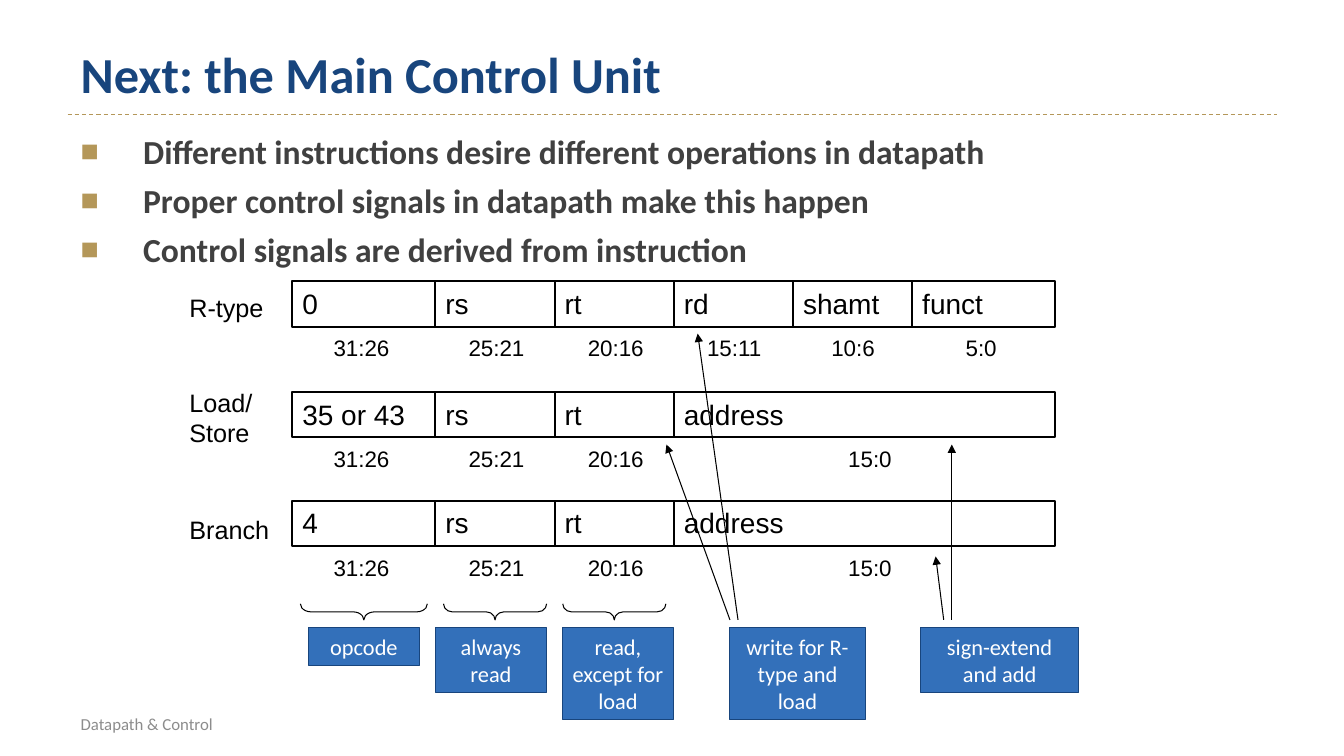
from dataclasses import dataclass
from itertools import accumulate

from lxml import etree
from pptx import Presentation
from pptx import util as u
from pptx.dml.color import RGBColor
from pptx.enum import dml, shapes, text
from pptx.oxml import ns


@dataclass(frozen=True)
class Theme:
    navy: str = "18457D"
    blue: str = "3370BA"
    gold: str = "B49759"
    dark: str = "404040"
    gray: str = "8C8C8C"
    black: str = "000000"
    white: str = "FFFFFF"
    sans: str = "Arial"
    main: str = "Calibri"
    title: int = 36
    body: int = 24
    field: int = 20
    label: int = 18
    small: int = 16
    foot: int = 12
    thin: float = 0.75
    thick: float = 1.5


@dataclass(frozen=True)
class Field:
    name: str
    bits: int
    span: str
    inset: float


@dataclass(frozen=True)
class Format:
    name: str
    top: float
    drop: float
    width: float
    height: float
    fields: list[Field]


@dataclass(frozen=True)
class Note:
    words: str
    left: float
    width: float
    lines: int


@dataclass(frozen=True)
class Arrow:
    start: tuple[float, float]
    end: tuple[float, float]


T = Theme()
LEFT = 2.9
UNIT = 0.2365
NOTE_TOP = 6.23
BRACE_MID = 6.07
WIDE = (0.13, 0.07)
SNUG = (0.1, 0.05)

RS = Field("rs", 5, "25:21", 0.23)
RT = Field("rt", 5, "20:16", 0.23)
ADDRESS = Field("address", 16, "15:0", 1.63)


def opcode(name: str) -> Field:
    return Field(name, 6, "31:26", 0.31)


FORMATS = [
    Format("R-type", 2.79, 0.06, 0.94, 0.4, [
        opcode("0"), RS, RT,
        Field("rd", 5, "15:11", 0.23),
        Field("shamt", 5, "10:6", 0.28),
        Field("funct", 6, "5:0", 0.43),
    ]),
    Format("Load/\vStore", 3.89, -0.1, 0.83, 0.7,
           [opcode("35 or 43"), RS, RT, ADDRESS]),
    Format("Branch", 4.97, 0.08, 0.99, 0.4, [opcode("4"), RS, RT, ADDRESS]),
]
NOTES = [
    Note("opcode", 3.06, 1.1, 1),
    Note("always read", 4.32, 1.1, 2),
    Note("read, except for load", 5.58, 1.1, 3),
    Note("write for R-type and load", 7.24, 1.34, 3),
    Note("sign-extend and add", 9.13, 1.57, 2),
]
ARROWS = [
    Arrow((7.24, 6.15), (6.61, 4.41)),
    Arrow((7.32, 6.15), (6.92, 3.31)),
    Arrow((9.36, 6.15), (9.28, 5.52)),
    Arrow((9.44, 6.15), (9.44, 4.41)),
]
POINTS = [
    "Different instructions desire different operations in datapath",
    "Proper control signals in datapath make this happen",
    "Control signals are derived from instruction",
]


def tint(code: str) -> RGBColor:
    return RGBColor.from_string(code)


def write(shape, words: str, size: int, color: str, face: str, *,
          bold: bool = False, wrap: bool = True, pad=SNUG,
          align=text.PP_ALIGN.LEFT, anchor=text.MSO_ANCHOR.TOP) -> None:
    frame = shape.text_frame
    frame.text = words
    frame.word_wrap = wrap
    frame.auto_size = text.MSO_AUTO_SIZE.NONE
    frame.vertical_anchor = anchor
    frame.margin_left = frame.margin_right = u.Inches(pad[0])
    frame.margin_top = frame.margin_bottom = u.Inches(pad[1])
    for para in frame.paragraphs:
        para.alignment = align
        for run in para.runs:
            font = run.font
            font.size, font.name, font.bold = u.Pt(size), face, bold
            font.color.rgb = tint(color)


def add_text(slide, left: float, top: float, width: float, height: float):
    return slide.shapes.add_textbox(*map(u.Inches, (left, top, width, height)))


def add_box(slide, kind, left: float, top: float, width: float, height: float,
            line: str, weight: float, fill: str = ""):
    box = slide.shapes.add_shape(kind, *map(u.Inches, (left, top, width, height)))
    box.shadow.inherit = False
    box.line.color.rgb = tint(line)
    box.line.width = u.Pt(weight)
    if fill:
        box.fill.solid()
        box.fill.fore_color.rgb = tint(fill)
    else:
        box.fill.background()
    return box


def add_line(slide, start, end, color: str):
    line = slide.shapes.add_connector(
        shapes.MSO_CONNECTOR.STRAIGHT, *map(u.Inches, (*start, *end)))
    line.line.color.rgb = tint(color)
    line.line.width = u.Pt(T.thin)
    etree.SubElement(line._element.spPr, ns.qn("a:effectLst"))
    return line


def add_arrow(slide, arrow: Arrow) -> None:
    line = add_line(slide, arrow.start, arrow.end, T.black)
    etree.SubElement(line.line._get_or_add_ln(), ns.qn("a:tailEnd"), type="triangle")


def add_points(slide) -> None:
    box = add_text(slide, 0.67, 1.23, 12.06, 5.75)
    write(box, "\n".join(POINTS), T.body, T.dark, T.main, bold=True, pad=WIDE)
    for i, para in enumerate(box.text_frame.paragraphs):
        props = para._p.get_or_add_pPr()
        props.set("marL", str(u.Inches(0.62)))
        props.set("indent", str(u.Inches(-0.62)))
        para.space_before = u.Pt(4 if i else 0)
        para.space_after = u.Pt(2)
        color = etree.SubElement(props, ns.qn("a:buClr"))
        etree.SubElement(color, ns.qn("a:srgbClr"), val=T.gold)
        etree.SubElement(props, ns.qn("a:buSzPct"), val="90000")
        etree.SubElement(props, ns.qn("a:buFont"), typeface=T.sans)
        etree.SubElement(props, ns.qn("a:buChar"), char="■")


def edges(fields: list[Field]) -> list[float]:
    return [LEFT + UNIT * n for n in accumulate((f.bits for f in fields), initial=0)]


def add_format(slide, row: Format) -> None:
    label = add_text(slide, 1.78, row.top + row.drop, row.width, row.height)
    write(label, row.name, T.label, T.black, T.sans, wrap=False)
    for field, left in zip(row.fields, edges(row.fields)):
        box = add_box(slide, shapes.MSO_SHAPE.RECTANGLE, left, row.top,
                      field.bits * UNIT, 0.45, T.black, T.thick)
        write(box, field.name, T.field, T.black, T.sans)
        span = add_text(slide, left + field.inset, row.top + 0.48,
                        0.13 + 0.126 * len(field.span), 0.37)
        write(span, field.span, T.small, T.black, T.sans, wrap=False)


def add_brace(slide, field: Field, left: float) -> None:
    length = field.bits * UNIT - 0.16
    mid = left + field.bits * UNIT / 2
    brace = add_box(slide, shapes.MSO_SHAPE.LEFT_BRACE, mid - 0.08,
                    BRACE_MID - length / 2, 0.16, length, T.black, T.thin)
    brace.rotation = 270
    brace.adjustments[0] = 0.53 * length


def add_note(slide, note: Note) -> None:
    box = add_box(slide, shapes.MSO_SHAPE.RECTANGLE, note.left, NOTE_TOP, note.width,
                  0.1 + 0.27 * note.lines, T.navy, T.thin, T.blue)
    write(box, note.words, T.small, T.white, T.main, align=text.PP_ALIGN.CENTER)


def main() -> None:
    deck = Presentation()
    deck.slide_width, deck.slide_height = u.Inches(13.33), u.Inches(7.5)
    slide = deck.slides.add_slide(deck.slide_layouts[5])
    rule = add_line(slide, (0.67, 1.14), (12.67, 1.14), T.gold)
    rule.line.dash_style = dml.MSO_LINE.DASH
    foot = add_text(slide, 0.67, 7.06, 1.83, 0.24)
    write(foot, "Datapath & Control", T.foot, T.gray, T.main, pad=WIDE,
          anchor=text.MSO_ANCHOR.MIDDLE)
    title = slide.shapes.title
    title.left, title.top, title.width, title.height = map(
        u.Inches, (0.67, 0.29, 12, 0.87))
    write(title, "Next: the Main Control Unit", T.title, T.navy, T.main, bold=True,
          pad=WIDE, anchor=text.MSO_ANCHOR.MIDDLE)
    add_points(slide)
    for row in FORMATS:
        add_format(slide, row)
    fields = FORMATS[0].fields[:3]
    for field, left in zip(fields, edges(fields)):
        add_brace(slide, field, left)
    for note in NOTES:
        add_note(slide, note)
    for arrow in ARROWS:
        add_arrow(slide, arrow)
    deck.save("out.pptx")


if __name__ == "__main__":
    main()
